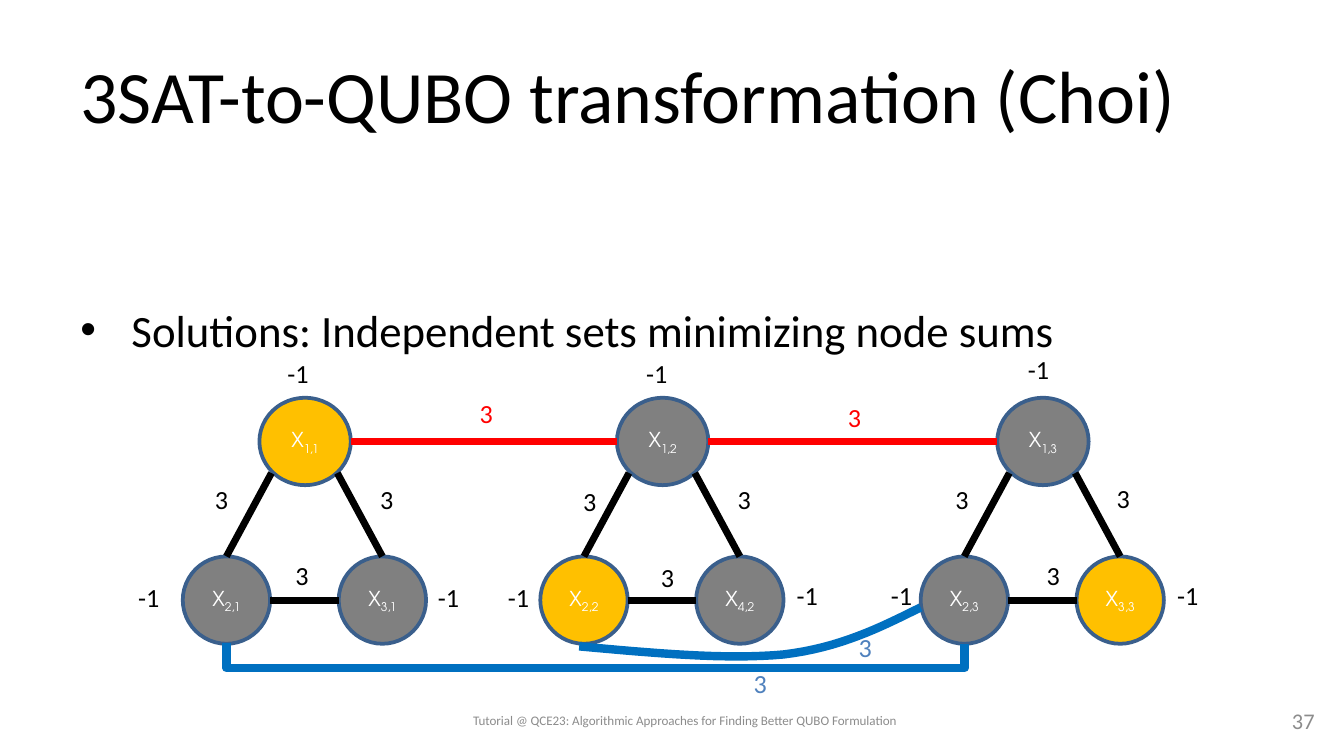
from lxml.etree import SubElement
from pptx import Presentation
from pptx.dml.color import RGBColor
from pptx.enum.shapes import MSO_CONNECTOR as Link, MSO_SHAPE as Shape
from pptx.enum.text import MSO_ANCHOR as Anchor, PP_ALIGN as Align
from pptx.oxml.ns import qn
from pptx.util import Emu, Inches, Pt

# Theme
THEME = dict(
    font="Calibri", math="TeX Gyre Adventor",
    black="000000", white="FFFFFF", red="FF0000", blue="0070C0",
    pale="4F81BD", gray="8C8C8C", rim="3A5F8C", on="FFC000", off="808080",
    title=39.6, body=24, label=14, node=11, page=12, foot=7,
    edge=3.75, arc=4.5, ring=2,
)

# Content
TITLE = "3SAT-to-QUBO transformation (Choi)"
POINT = "Solutions: Independent sets minimizing node sums"
FOOT = "Tutorial @ QCE23: Algorithmic Approaches for Finding Better QUBO Formulation"
PAGE = "37"

# One triangle per clause: left edge, chosen node, subscripts (top, left, right)
CLAUSES = [
    (1.36, "1,1", ("1,1", "2,1", "3,1")),
    (4.02, "2,2", ("1,2", "2,2", "4,2")),
    (6.85, "3,3", ("1,3", "2,3", "3,3")),
]

# Weights: text, colour, places of the labels
WEIGHTS = [
    ("-1", "black", [(2.04, 2.61), (4.71, 2.61), (7.55, 2.58),
                     (0.93, 4.28), (3.16, 4.28), (3.68, 4.28),
                     (5.83, 4.26), (6.53, 4.26), (8.66, 4.26)]),
    ("3", "black", [(1.5, 3.55), (2.73, 3.55), (2.1, 4.11),
                    (4.24, 3.56), (5.39, 3.55), (4.82, 4.13),
                    (7.01, 3.55), (8.21, 3.54), (7.69, 4.11)]),
    ("3", "red", [(3.47, 2.91), (6.21, 2.94)]),
    ("3", "pale", [(5.51, 4.92), (6.29, 4.65)]),
]

# Triangle grid
HIGH, LOW = 2.96, 4.14          # tops of the two node rows
SIZE, WIDE = 0.65, 0.68         # node size, width of the top node
STEP, PEAK = 1.16, 0.57         # offsets of the right and top nodes
MID = SIZE / 2
JOIN = 3.52                     # where slanted edges meet the top node
DROP, THIN = 0.18, 0.01         # depth of the long link, its frame's short side
CURVE = [(4.31, 4.81), (4.86, 4.86), (5.41, 4.91), (5.83, 4.87),
         (6.25, 4.82), (6.55, 4.67), (6.85, 4.52)]

deck = Presentation()
deck.slide_width = Inches(10)
deck.slide_height = deck.slide_width * 9 // 16
slide = deck.slides.add_slide(deck.slide_layouts[6])
parts = slide.shapes


def color(name):
    return RGBColor.from_string(THEME[name])


def style(run, size, tint, font):
    run.font.size = Pt(THEME[size])
    run.font.name = THEME[font]
    run.font.color.rgb = color(tint)


def write(text, box=None, shape=None, size="label", tint="black", font="font",
          align=Align.LEFT, anchor=Anchor.TOP, sub="", bullet=False):
    """Write text in a shape, or in a new text box at the given place."""
    inside = shape is not None
    if not inside:
        shape = parts.add_textbox(*map(Inches, box))
    frame = shape.text_frame
    frame.word_wrap = not inside
    frame.vertical_anchor = anchor
    if inside:
        frame.margin_left = frame.margin_right = 0
    para = frame.paragraphs[0]
    para.alignment = align
    if bullet:
        props = para._p.get_or_add_pPr()
        props.set("marL", str(Inches(0.38)))
        props.set("indent", str(-Inches(0.38)))
        SubElement(props, qn("a:buFont"), typeface="Arial")
        SubElement(props, qn("a:buChar"), char="•")
    run = para.add_run()
    run.text = text
    style(run, size, tint, font)
    if sub:
        low = para.add_run()
        low.text = sub
        style(low, size, tint, font)
        low.font._element.set("baseline", "-25000")


def node(left, top, width, sub, fill):
    disc = parts.add_shape(Shape.OVAL, *map(Inches, (left, top, width, SIZE)))
    disc.shadow.inherit = False
    disc.fill.solid()
    disc.fill.fore_color.rgb = color(fill)
    disc.line.color.rgb = color("rim")
    disc.line.width = Pt(THEME["ring"])
    write("X", shape=disc, sub=sub, size="node", tint="white", font="math",
          align=Align.CENTER, anchor=Anchor.MIDDLE)


def edge(start, end, tint="black", width="edge", kind=Link.STRAIGHT):
    line = parts.add_connector(kind, *map(Inches, start + end))
    line.line.color.rgb = color(tint)
    line.line.width = Pt(THEME[width])
    SubElement(line._element.spPr, qn("a:effectLst"))
    return line


def hook(left, right, level):
    """Join two nodes from below: an elbow in a thin frame, turned upright."""
    mid, half = (left + right) / 2, (right - left) / 2
    line = edge((mid - THIN / 2, level - half), (mid + THIN / 2, level + half),
                "blue", "arc", Link.ELBOW)
    props = line._element.spPr
    frame = props.find(qn("a:xfrm"))
    frame.set("rot", str(270 * 60000))
    frame.set("flipH", "1")
    guides = props.find(qn("a:prstGeom")).get_or_add_avLst()
    ratio = round((DROP + THIN) / THIN * 100000)
    SubElement(guides, qn("a:gd"), name="adj1", fmla=f"val {ratio}")


def trail(points):
    """Draw an open blue line through the points."""
    dots = [(Inches(x), Inches(y)) for x, y in points]
    form = parts.build_freeform(*dots[0])
    form.add_line_segments(dots[1:], close=False)
    line = form.convert_to_shape(Emu(0), Emu(0))
    line.shadow.inherit = False
    line.fill.background()
    line.line.color.rgb = color("blue")
    line.line.width = Pt(THEME["arc"])


def bend(a, b, c, d, steps=16):
    """Points on a cubic curve."""
    for i in range(steps + 1):
        t = i / steps
        u = 1 - t
        yield tuple(u**3 * p + 3 * u * u * t * q + 3 * u * t * t * r + t**3 * s
                    for p, q, r, s in zip(a, b, c, d))


# Heading, point and footer
write(TITLE, (0.5, 0.23, 9, 0.94), size="title", anchor=Anchor.MIDDLE)
write(POINT, (0.5, 2.2, 9, 2.82), size="body", bullet=True)
write(PAGE, (9.17, 5.21, 0.71, 0.3), size="page", tint="gray",
      align=Align.RIGHT, anchor=Anchor.MIDDLE)
write(FOOT, (2.74, 5.21, 4.71, 0.3), size="foot", tint="gray",
      align=Align.CENTER, anchor=Anchor.MIDDLE)

# Clause triangles
for x, pick, subs in CLAUSES:
    spots = [(x + PEAK, HIGH, WIDE), (x, LOW, SIZE), (x + STEP, LOW, SIZE)]
    for spot, sub in zip(spots, subs):
        node(*spot, sub, "on" if sub == pick else "off")
    edge((x + SIZE, LOW + MID), (x + STEP, LOW + MID))
    edge((x + MID, LOW), (x + PEAK + 0.09, JOIN))
    edge((x + STEP + MID, LOW), (x + PEAK + WIDE - 0.1, JOIN))

# Conflict links between clauses
lefts = [x for x, _, _ in CLAUSES]
for x, after in zip(lefts, lefts[1:]):
    edge((x + PEAK + WIDE, HIGH + MID), (after + PEAK, HIGH + MID), "red")
hook(lefts[0] + MID, lefts[-1] + MID, LOW + SIZE)
trail([*bend(*CURVE[:4]), *list(bend(*CURVE[3:]))[1:]])

# Weight labels
for text, tint, spots in WEIGHTS:
    for spot in spots:
        write(text, (*spot, 0.4, 0.34), tint=tint)

deck.save("out.pptx")
